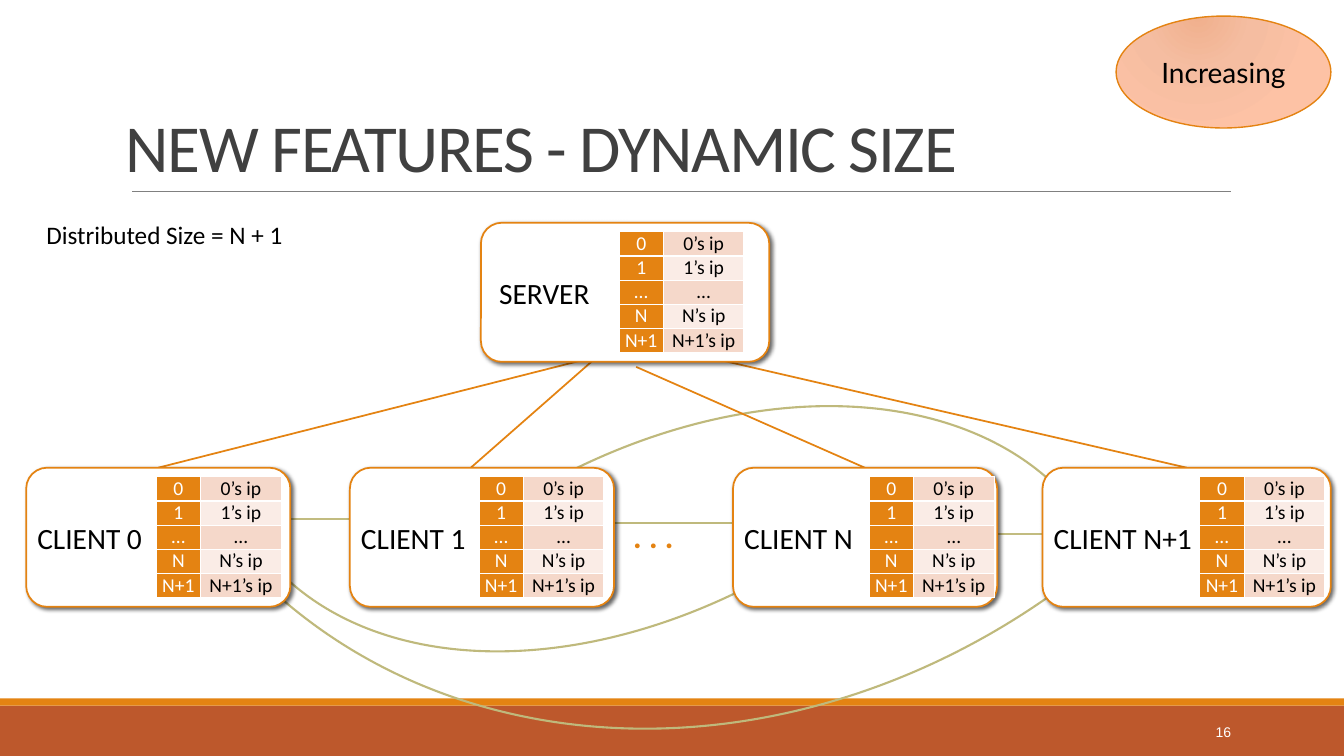
from lxml import etree
from pptx import Presentation
from pptx import util as u
from pptx.dml.color import RGBColor
from pptx.enum import shapes, text
from pptx.oxml import parse_xml
from pptx.oxml.ns import nsdecls, qn

WIDTH, HEIGHT = 13.33, 7.5
ORANGE, RUST, OLIVE, LIGHT_OLIVE = "E48312", "BD582C", "BFB97C", "C2BC80"
WHITE, BLACK, DARK, GRAY = "FFFFFF", "000000", "404040", "808080"
BAND_FILLS = ["F5D8CA", "FAECE6"]
GLOW_STOPS = [(0, "F0B08D"), (45, "F5BDA1"), (100, "FDC2A5")]

ADDRESSES = [("0", "0’s ip"), ("1", "1’s ip"), ("…", "…"), ("N", "N’s ip"), ("N+1", "N+1’s ip")]
COLUMNS, ROW_HEIGHT, TABLE_DROP = (0.44, 0.8), 0.24, 0.09

SERVER_TOP, CLIENT_TOP, NODE_HEIGHT = 2.21, 4.64, 1.38
NODES = [
    ("CLIENT N", 7.27, CLIENT_TOP, 2.62, 1.35, 0.05),
    ("CLIENT 1", 3.47, CLIENT_TOP, 2.62, 1.28, 0.05),
    ("CLIENT 0", 0.26, CLIENT_TOP, 2.62, 1.29, 0.05),
    ("SERVER", 4.77, SERVER_TOP, 2.86, 1.37, 0.12),
    ("CLIENT N+1", 10.34, CLIENT_TOP, 2.86, 1.56, 0.05),
]
PEER_ARCS = [
    (0.67, -4.62, 13.21, 11.45, 138.7),
    (2.19, 4.47, 9.31, 6.41, 329),
    (1.7, -0.47, 9.31, 6.41, 145.7),
]
PEER_LINES = [
    (4.59, 8.39, 5.19, OLIVE),
    (2.41, 3.65, 5.15, LIGHT_OLIVE),
    (9.4, 10.64, 5.3, LIGHT_OLIVE),
]
SERVER_LINES = {
    "CLIENT 0": (5.75, 3.58, 1.59, 4.63),
    "CLIENT 1": (6.07, 3.41, 4.67, 4.64),
    "CLIENT N": (6.31, 3.64, 9.03, 4.84),
    "CLIENT N+1": (6.7, 3.47, 11.76, 4.67),
}
JOINED_CLIENTS = ["CLIENT 0", "CLIENT N+1"]


def color(value):
    return RGBColor.from_string(value)


def inches(*values):
    return [u.Inches(value) for value in values]


def write(frame, words, size, ink, font="Calibri", align=text.PP_ALIGN.LEFT,
          anchor=text.MSO_ANCHOR.MIDDLE, margin=0.05, left=None):
    frame.word_wrap = True
    frame.vertical_anchor = anchor
    frame.margin_right = frame.margin_top = frame.margin_bottom = u.Inches(margin)
    frame.margin_left = u.Inches(margin if left is None else left)
    paragraph = frame.paragraphs[0]
    paragraph.text = words
    paragraph.alignment = align
    paragraph.font.name, paragraph.font.size = font, u.Pt(size)
    paragraph.font.color.rgb = color(ink)
    return paragraph


def add_shape(slide, kind, box, fill=None, line=None, weight=1):
    shape = slide.shapes.add_shape(kind, *inches(*box))
    shape.shadow.inherit = False
    if fill:
        shape.fill.solid()
        shape.fill.fore_color.rgb = color(fill)
    else:
        shape.fill.background()
    if line:
        shape.line.color.rgb, shape.line.width = color(line), u.Pt(weight)
    else:
        shape.line.fill.background()
    return shape


def add_line(slide, ends, ink, weight):
    line = slide.shapes.add_connector(shapes.MSO_CONNECTOR.STRAIGHT, *inches(*ends))
    line.line.color.rgb, line.line.width = color(ink), u.Pt(weight)
    etree.SubElement(line._element.spPr, qn("a:effectLst"))
    return line


def add_text(slide, box, *args, **kwargs):
    return write(slide.shapes.add_textbox(*inches(*box)).text_frame, *args, **kwargs)


def add_node(slide, name, left, top, width, inset):
    node = add_shape(slide, shapes.MSO_SHAPE.ROUNDED_RECTANGLE,
                     (left, top, width, NODE_HEIGHT), WHITE, ORANGE, 1.25)
    node.adjustments[0] = 0.15
    write(node.text_frame, name, 21, BLACK, left=inset)
    node._element.spPr.find(qn("a:effectLst")).append(parse_xml(
        f'<a:outerShdw {nsdecls("a")} blurRad="{u.Pt(3)}" dist="{u.Pt(2)}" dir="2700000" '
        f'algn="tl" rotWithShape="0"><a:srgbClr val="{BLACK}"><a:alpha val="60000"/>'
        '</a:srgbClr></a:outerShdw>'))
    return node


def add_address_table(slide, left, top):
    rows = len(ADDRESSES)
    table = slide.shapes.add_table(rows, len(COLUMNS), *inches(
        left, top, sum(COLUMNS), rows * ROW_HEIGHT)).table
    table.first_row = table.horz_banding = False
    for column, width in zip(table.columns, COLUMNS):
        column.width = u.Inches(width)
    for row, words in enumerate(ADDRESSES):
        table.rows[row].height = u.Inches(ROW_HEIGHT)
        styles = [(ORANGE, WHITE), (BAND_FILLS[row % 2], BLACK)]
        for column, (fill, ink) in enumerate(styles):
            cell = table.cell(row, column)
            write(cell.text_frame, words[column], 14, ink, align=text.PP_ALIGN.CENTER)
            cell.margin_left = cell.margin_right = cell.margin_top = cell.margin_bottom = 0
            cell.vertical_anchor = text.MSO_ANCHOR.TOP
            properties = cell._tc.get_or_add_tcPr()
            for side in "LRTB":
                properties.append(parse_xml(
                    f'<a:ln{side} {nsdecls("a")} w="{u.Pt(1)}"><a:solidFill>'
                    f'<a:srgbClr val="{WHITE}"/></a:solidFill></a:ln{side}>'))
            cell.fill.solid()
            cell.fill.fore_color.rgb = color(fill)


def add_badge(slide):
    badge = add_shape(slide, shapes.MSO_SHAPE.OVAL, (11.07, 0.16, 2.13, 1.11), WHITE, ORANGE)
    write(badge.text_frame, "Increasing", 20, BLACK, "Lato", text.PP_ALIGN.CENTER)
    stops = "".join(f'<a:gs pos="{place * 1000}"><a:srgbClr val="{ink}"/></a:gs>'
                    for place, ink in GLOW_STOPS)
    properties = badge._element.spPr
    properties.replace(properties.find(qn("a:solidFill")), parse_xml(
        f'<a:gradFill {nsdecls("a")} rotWithShape="1"><a:gsLst>{stops}</a:gsLst>'
        '<a:path path="circle"><a:fillToRect l="38000" t="-20000" r="62000" b="120000"/>'
        '</a:path></a:gradFill>'))


def main():
    """Build the slide and save it."""
    presentation = Presentation()
    presentation.slide_width, presentation.slide_height = inches(WIDTH, HEIGHT)
    slide = presentation.slides.add_slide(presentation.slide_layouts[6])

    add_shape(slide, shapes.MSO_SHAPE.RECTANGLE, (0, 7, WIDTH, 0.5), RUST)
    add_shape(slide, shapes.MSO_SHAPE.RECTANGLE, (0, 6.93, WIDTH, 0.07), ORANGE)
    add_line(slide, (1.31, 1.9, 12.21, 1.9), GRAY, 0.5)

    for *box, angle in PEER_ARCS:
        add_shape(slide, shapes.MSO_SHAPE.ARC, box, line=OLIVE, weight=1.5).rotation = angle
    for start, end, height, ink in PEER_LINES:
        add_line(slide, (start, height, end, height), ink, 1.5)
    links = {name: add_line(slide, ends, ORANGE, 1.25) for name, ends in SERVER_LINES.items()}

    title = add_text(slide, (1.2, 0.31, 11, 1.59), "NEW FEATURES - DYNAMIC SIZE", 48, DARK,
                     anchor=text.MSO_ANCHOR.BOTTOM)
    title.line_spacing = 0.85
    title.runs[0].font._element.set("spc", "-100")
    add_text(slide, (12, 7.14, 0.26, 0.25), "16", 10, WHITE, "Arial", text.PP_ALIGN.RIGHT)
    add_text(slide, (0.41, 2.13, 2.73, 0.39), "Distributed Size = N + 1", 18, BLACK,
             anchor=text.MSO_ANCHOR.TOP)
    dots = add_text(slide, (6.23, 5.07, 0.75, 0.48), ". . .", 23, ORANGE,
                    anchor=text.MSO_ANCHOR.TOP)
    dots.font.bold = True

    for name, left, top, width, table_shift, inset in NODES:
        node = add_node(slide, name, left, top, width, inset)
        add_address_table(slide, left + table_shift, top + TABLE_DROP)
        if name in JOINED_CLIENTS:
            links[name].end_connect(node, 0)
    add_badge(slide)
    presentation.save("out.pptx")


if __name__ == "__main__":
    main()
